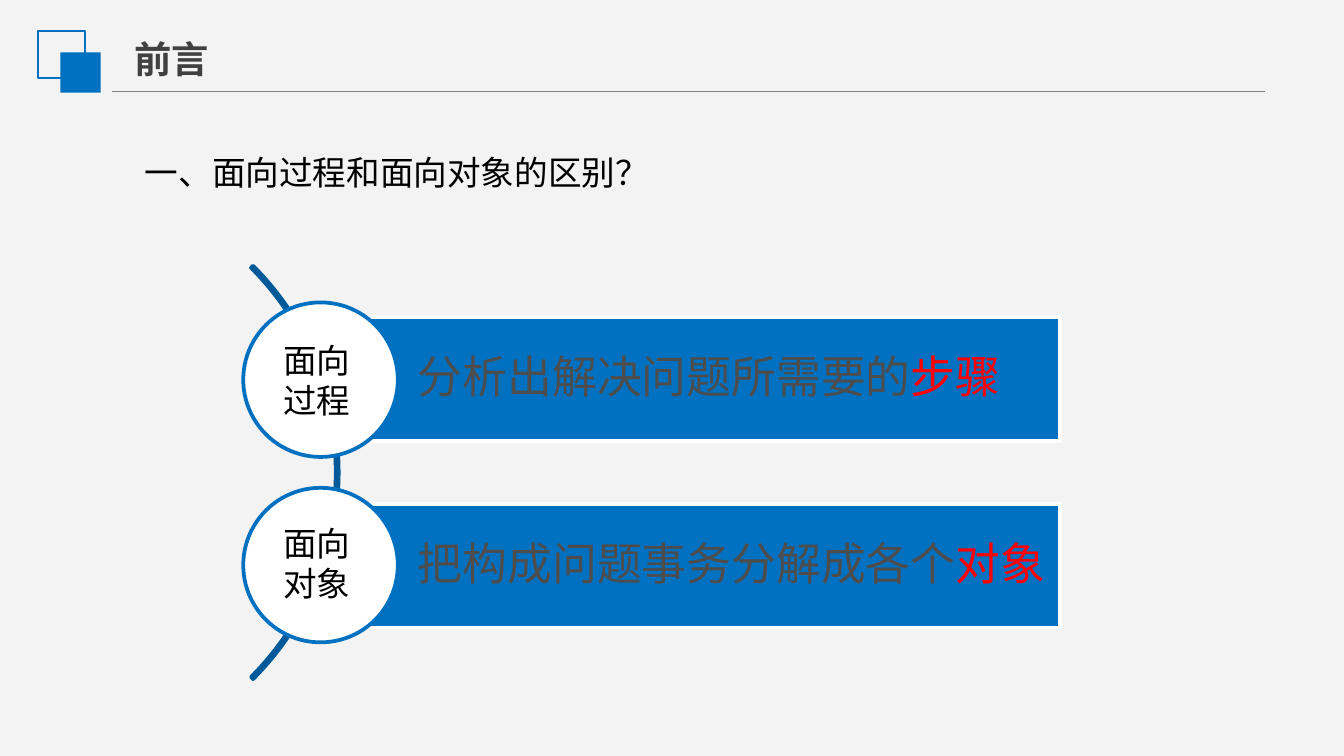
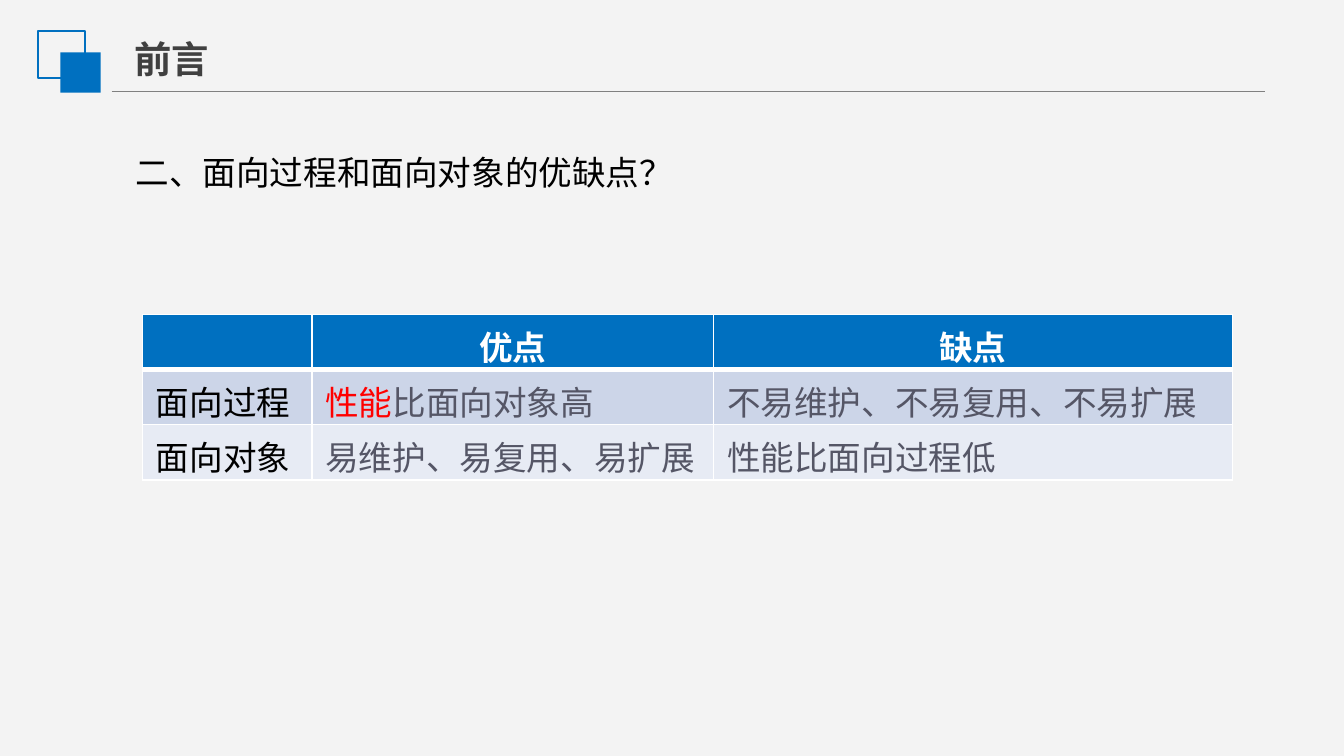
from dataclasses import dataclass

from lxml.etree import SubElement
from pptx import Presentation
from pptx.dml.color import RGBColor
from pptx.enum.shapes import MSO_CONNECTOR, MSO_SHAPE
from pptx.enum.text import MSO_ANCHOR, MSO_AUTO_SIZE, PP_ALIGN
from pptx.oxml.ns import qn
from pptx.util import Inches, Pt

COLORS = {
    "background": "F3F3F3", "blue": "0070C0", "arc": "005A9A", "rule": "808080",
    "white": "FFFFFF", "black": "000000", "red": "FF0000", "title": "404040",
    "bar_text": "4D4D4D", "cell_text": "555666", "band_dark": "CCD5E8", "band_light": "E7EBF4",
}
LATIN, CJK = "Calibri", "Noto Sans CJK SC"


@dataclass
class Topic:
    """One bar with its circle and label; tops are in inches."""
    label: str
    text: str
    keyword: str
    bar_top: float
    circle_top: float
    label_top: float


TOPICS = [
    Topic("面向过程", "分析出解决问题所需要的", "步骤", 2.36, 2.25, 2.48),
    Topic("面向对象", "把构成问题事务分解成各个", "对象", 3.75, 3.63, 3.84),
]
HEADERS = ["", "优点", "缺点"]
ROWS = [
    ["面向过程", "性能比面向对象高", "不易维护、不易复用、不易扩展"],
    ["面向对象", "易维护、易复用、易扩展", "性能比面向过程低"],
]
HIGHLIGHT = (1, 1, "性能")
COLUMN_WIDTHS = [1.26, 2.99, 3.86]
ROW_HEIGHT = 0.41


def rgb(name: str) -> RGBColor:
    """Look up a named colour."""
    return RGBColor.from_string(COLORS[name])


def box(left: float, top: float, width: float, height: float) -> tuple:
    """Turn inches into position and size."""
    return Inches(left), Inches(top), Inches(width), Inches(height)


def style(p, size: float, color: str, name: str = LATIN, bold: bool = False) -> None:
    """Set the font of a whole paragraph, with its East Asian face."""
    font = p.font
    font.size, font.bold, font.name = Pt(size), bold, name
    font.color.rgb = rgb(color)
    SubElement(p._p.pPr.find(qn("a:defRPr")), qn("a:ea")).set("typeface", CJK)


def add_run(p, text: str, color: str = "") -> None:
    """Add a run, in its own colour if one is given."""
    r = p.add_run()
    r.text = text
    if color:
        r.font.color.rgb = rgb(color)


def add_shape(slide, kind, at: tuple, fill: str = "", line: str = "", width: float = 2):
    """Add a flat preset shape with optional fill and outline."""
    sp = slide.shapes.add_shape(kind, *box(*at))
    sp.shadow.inherit = False
    if fill:
        sp.fill.solid()
        sp.fill.fore_color.rgb = rgb(fill)
    else:
        sp.fill.background()
    if line:
        sp.line.color.rgb = rgb(line)
        sp.line.width = Pt(width)
    else:
        sp.line.fill.background()
    return sp


def add_text(slide, at: tuple, text: str) -> None:
    """Add a wrapping 18 pt text box."""
    tf = slide.shapes.add_textbox(*box(*at)).text_frame
    tf.word_wrap = True
    tf.auto_size = MSO_AUTO_SIZE.SHAPE_TO_FIT_TEXT
    p = tf.paragraphs[0]
    p.text = text
    style(p, 18, "black")


def add_slide(prs, heading: str, heading_left: float):
    """Add a slide with the title, rule, corner squares and heading."""
    slide = prs.slides.add_slide(prs.slide_layouts[5])
    rule = slide.shapes.add_connector(
        MSO_CONNECTOR.STRAIGHT, Inches(0.83), Inches(0.68), Inches(9.41), Inches(0.68))
    rule.line.color.rgb = rgb("rule")
    rule.line.width = Pt(0.75)
    SubElement(rule._element.spPr, qn("a:effectLst"))
    add_shape(slide, MSO_SHAPE.RECTANGLE, (0.28, 0.23, 0.35, 0.35), line="blue", width=1)
    add_shape(slide, MSO_SHAPE.RECTANGLE, (0.45, 0.39, 0.3, 0.3), fill="blue")

    title = slide.shapes.title
    title.left, title.top, title.width, title.height = box(0.9, 0.22, 0.76, 0.44)
    tf = title.text_frame
    tf.word_wrap = False
    tf.auto_size = MSO_AUTO_SIZE.SHAPE_TO_FIT_TEXT
    tf.vertical_anchor = MSO_ANCHOR.TOP
    p = tf.paragraphs[0]
    p.text = "前言"
    p.alignment = PP_ALIGN.LEFT
    style(p, 20, "title", CJK, True)
    add_text(slide, (heading_left, 1.08, 8.19, 0.4), heading)
    return slide


def add_topic(slide, topic: Topic) -> None:
    """Draw a topic's bar and the circle over its left end."""
    bar = add_shape(slide, MSO_SHAPE.RECTANGLE, (2.38, topic.bar_top, 5.51, 0.92), "blue", "white")
    tf = bar.text_frame
    tf.word_wrap = True
    tf.vertical_anchor = MSO_ANCHOR.MIDDLE
    tf.margin_left = Inches(0.73)
    tf.margin_top = tf.margin_right = tf.margin_bottom = Inches(0.07)
    p = tf.paragraphs[0]
    p.alignment = PP_ALIGN.LEFT
    p.line_spacing = 0.9
    style(p, 24, "bar_text", CJK)
    add_run(p, topic.text, "bar_text")
    add_run(p, topic.keyword, "red")
    add_shape(slide, MSO_SHAPE.OVAL, (1.81, topic.circle_top, 1.15, 1.15), "white", "blue")
    add_text(slide, (2.01, topic.label_top, 0.87, 0.71), topic.label)


def add_borders(cell, row: int) -> None:
    """Give a cell white borders, with a thick one under the header."""
    widths = {"a:lnL": 1, "a:lnR": 1, "a:lnT": 3 if row == 1 else 1, "a:lnB": 3 if row == 0 else 1}
    tc_pr = cell._tc.get_or_add_tcPr()
    for i, (tag, width) in enumerate(widths.items()):
        ln = SubElement(tc_pr, qn(tag), w=str(Pt(width)))
        SubElement(SubElement(ln, qn("a:solidFill")), qn("a:srgbClr"), val=COLORS["white"])
        tc_pr.insert(i, ln)


def fill_cell(cell, text: str, row: int, col: int) -> None:
    """Fill one table cell and format it by its row and column."""
    cell.fill.solid()
    cell.fill.fore_color.rgb = rgb(["blue", "band_dark", "band_light"][row])
    cell.margin_bottom = 0
    add_borders(cell, row)
    p = cell.text_frame.paragraphs[0]
    if row == 0:
        p.alignment = PP_ALIGN.CENTER
        color, name = "white", LATIN
    else:
        color, name = ("black", LATIN) if col == 0 else ("cell_text", CJK)
    style(p, 18, color, name, row == 0)
    if (row, col) == HIGHLIGHT[:2]:
        add_run(p, HIGHLIGHT[2], "red")
        text = text.removeprefix(HIGHLIGHT[2])
    if text:
        add_run(p, text, color)


def add_comparison(slide) -> None:
    """Add the table of strengths and weaknesses."""
    rows = [HEADERS, *ROWS]
    at = box(1.06, 2.34, sum(COLUMN_WIDTHS), ROW_HEIGHT * len(rows))
    table = slide.shapes.add_table(len(rows), len(HEADERS), *at).table
    for column, width in zip(table.columns, COLUMN_WIDTHS):
        column.width = Inches(width)
    for i, row in enumerate(rows):
        table.rows[i].height = Inches(ROW_HEIGHT)
        for j, text in enumerate(row):
            fill_cell(table.cell(i, j), text, i, j)


def main() -> None:
    """Build and save the presentation."""
    prs = Presentation()
    prs.slide_width = Inches(10)
    prs.slide_height = prs.slide_width * 9 // 16
    background = prs.slide_master.background.fill
    background.solid()
    background.fore_color.rgb = rgb("background")

    slide = add_slide(prs, "一、面向过程和面向对象的区别？", 0.98)
    arc = add_shape(slide, MSO_SHAPE.BLOCK_ARC, (-1.83, 1.34, 4.35, 4.35), line="arc")
    for i, value in enumerate((189, 27, 0.005)):
        arc.adjustments[i] = value
    for topic in TOPICS:
        add_topic(slide, topic)

    slide = add_slide(prs, "二、面向过程和面向对象的优缺点？", 0.91)
    add_comparison(slide)
    prs.save("out.pptx")


main()
